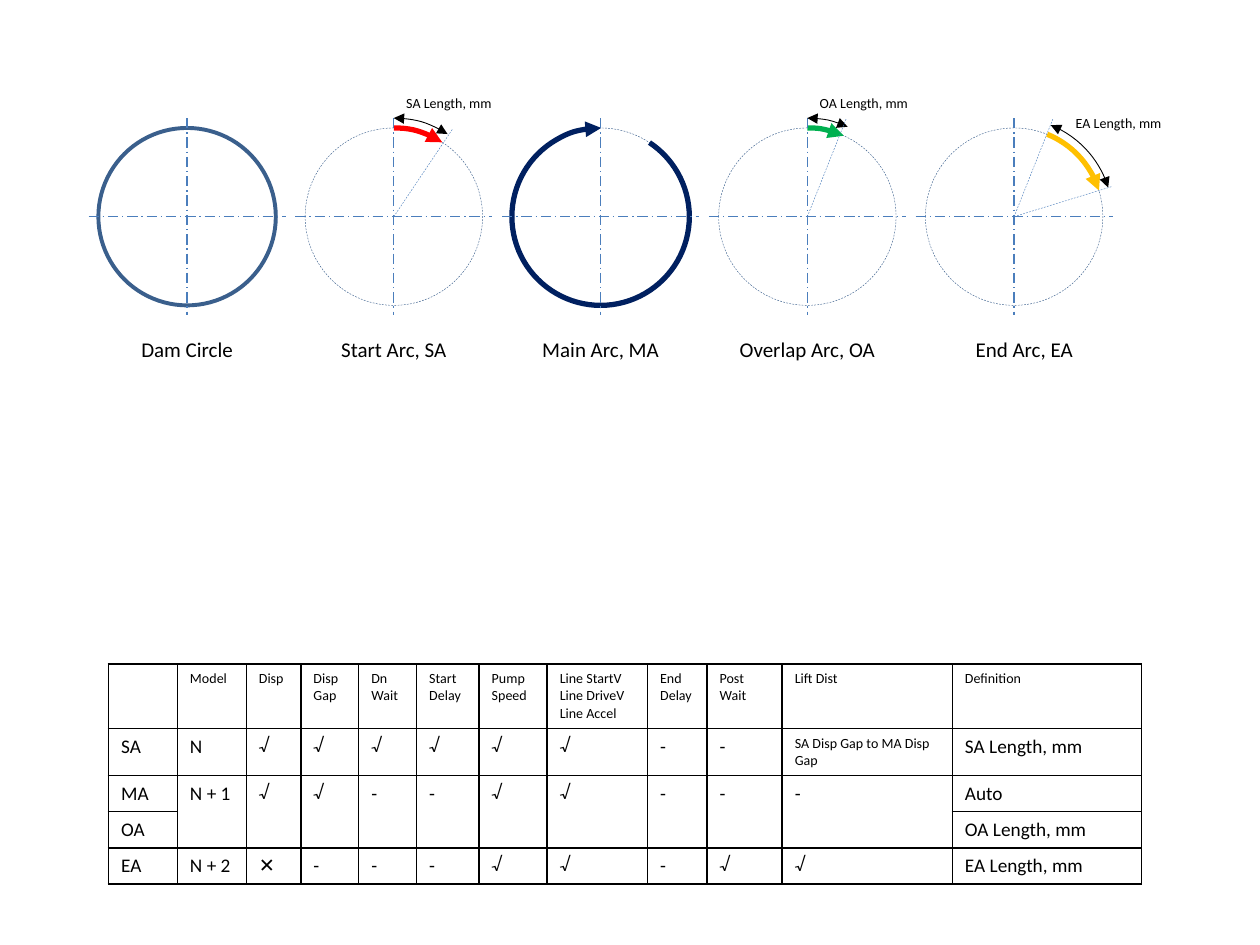
from pptx import Presentation, util as u
from pptx.dml.color import RGBColor
from pptx.enum import dml, shapes, text
from pptx.oxml.xmlchemy import OxmlElement

Pt = u.Pt
COLORS = {"outline": "3A5F8C", "axis": "4B7EBC", "black": "000000", "start": "FF0000",
          "main": "002060", "overlap": "00B050", "end": "FFC000"}
DASH = dml.MSO_LINE.DASH
AXIS_DASH = dml.MSO_LINE.LONG_DASH_DOT

# Arc angles in degrees clockwise from the right; spokes are offsets from the centre;
# a length label holds its text and its offset from the centre
PANELS = [
    {"name": "Dam Circle"},
    {"name": "Start Arc, SA", "arc": (270, 303.11), "color": "start",
     "spokes": [(33.8, -50.4)], "length": ("SA Length, mm", 0, -73.4)},
    {"name": "Main Arc, MA", "arc": (303.45, 270.35), "color": "main"},
    {"name": "Overlap Arc, OA", "arc": (270, 294.2), "color": "overlap",
     "spokes": [(22.3, -56.2)], "length": ("OA Length, mm", 0, -73.4)},
    {"name": "End Arc, EA", "arc": (291.88, 342.87), "color": "end", "label_shift": 5.8,
     "spokes": [(56.2, -17.3), (22.3, -56.2)], "length": ("EA Length, mm", 28.1, -61.9)},
]
FIRST_X, PITCH, CENTER_Y = 106.9, 118.15, 123.8
RADIUS, REACH = 50.7, 56.3

ROWS = [
    ["", "Model", "Disp", "Disp Gap", "Dn Wait", "Start Delay", "Pump Speed",
     "Line StartV\nLine DriveV\nLine Accel", "End Delay", "Post\nWait", "Lift Dist", "Definition"],
    ["SA", "N", "√", "√", "√", "√", "√", "√", "-", "-",
     "SA Disp Gap to MA Disp Gap", "SA Length, mm"],
    ["MA", "N + 1", "√", "√", "-", "-", "√", "√", "-", "-", "-", "Auto"],
    ["OA"] + [""] * 10 + ["OA Length, mm"],
    ["EA", "N + 2", "✕", "-", "-", "-", "√", "√", "-", "√", "√", "EA Length, mm"],
]
COLUMN_WIDTHS = [39.4, 39.4, 31.2, 33.1, 33.1, 35.7, 38.9, 57.4, 34, 43, 97.2, 108.2]
ROW_HEIGHTS = [36.8, 26.9, 20.7, 20.7, 20.7]
SMALL_NOTE = (1, 10)


def color(name):
    return RGBColor.from_string(COLORS[name])


def apply(target, values):
    for name, value in values.items():
        setattr(target, name, value)


def style_line(shape, name, width, dash=None, ends=()):
    shape.line.color.rgb = color(name)
    shape.line.width = Pt(width)
    if dash is not None:
        shape.line.dash_style = dash
    for end in ends:
        arrow = OxmlElement(f"a:{end}End")
        arrow.set("type", "triangle")
        shape.line._get_or_add_ln().append(arrow)


def add_round(kind, x, radius, angles=()):
    shape = page.shapes.add_shape(kind, Pt(x - radius), Pt(CENTER_Y - radius),
                                  Pt(2 * radius), Pt(2 * radius))
    shape.shadow.inherit = False
    shape.fill.background()
    for index, angle in enumerate(angles):
        shape.adjustments[index] = angle * 0.6  # 60000 units a degree, scaled by 100000
    return shape


def add_line(parent, x, start, end, width, dash):
    points = [Pt(v) for dx, dy in (start, end) for v in (x + dx, CENTER_Y + dy)]
    line = parent.shapes.add_connector(shapes.MSO_CONNECTOR.STRAIGHT, *points)
    style_line(line, "axis", width, dash)
    line._element.spPr.append(OxmlElement("a:effectLst"))


def add_span(para, words, size, font="Calibri"):
    span = para.add_run()
    span.text = words
    apply(span.font, {"size": Pt(size), "name": font})
    span.font.color.rgb = color("black")


def add_text(words, left, top, width, height, size, **frame_values):
    box = page.shapes.add_textbox(Pt(left), Pt(top), Pt(width), Pt(height))
    apply(box.text_frame, {"word_wrap": True, **frame_values})
    para = box.text_frame.paragraphs[0]
    add_span(para, words, size)
    return para


def add_borders(cell, sides):
    properties = cell._tc.get_or_add_tcPr()
    for index, side in enumerate(sides):
        line = OxmlElement(f"a:ln{side}")
        line.set("w", str(Pt(1)))
        fill = OxmlElement("a:solidFill")
        shade = OxmlElement("a:srgbClr")
        shade.set("val", COLORS["black"])
        fill.append(shade)
        line.append(fill)
        properties.insert(index, line)


deck = Presentation()
apply(deck, {"slide_width": Pt(720), "slide_height": Pt(540)})
page = deck.slides.add_slide(deck.slide_layouts[6])

# Circle diagrams
for number, panel in enumerate(PANELS):
    x = FIRST_X + number * PITCH
    arc = panel.get("arc")
    circle = add_round(shapes.MSO_SHAPE.OVAL, x, RADIUS)
    if arc:
        style_line(circle, "outline", 0.25, DASH)
        bead = add_round(shapes.MSO_SHAPE.ARC, x, RADIUS, arc)
        style_line(bead, panel["color"], 3, ends=["tail"])
    else:
        style_line(circle, "outline", 2.25)

    # Centre lines
    cross = page.shapes.add_group_shape()
    add_line(cross, x, (0, -REACH), (0, REACH), 0.75, AXIS_DASH)
    add_line(cross, x, (-REACH, 0), (REACH, 0), 0.75, AXIS_DASH)

    label = add_text(panel["name"], x - RADIUS + panel.get("label_shift", 0), 191.2,
                     2 * RADIUS, 16.6, 12, vertical_anchor=text.MSO_ANCHOR.MIDDLE)
    label.alignment = text.PP_ALIGN.CENTER

    # Length dimension
    if "length" in panel:
        dimension = add_round(shapes.MSO_SHAPE.ARC, x, REACH, arc)
        style_line(dimension, "black", 0.5, ends=["head", "tail"])
        for spoke in panel["spokes"]:
            add_line(page, x, (0, 0), spoke, 0.25, DASH)
        words, dx, dy = panel["length"]
        add_text(words, x + dx, CENTER_Y + dy, 67.7, 17, 8)

# Parameter table
frame = page.shapes.add_table(len(ROWS), len(COLUMN_WIDTHS), Pt(62), Pt(379.4),
                              Pt(sum(COLUMN_WIDTHS)), Pt(sum(ROW_HEIGHTS)))
table = frame.table
apply(table, {"first_row": False, "horz_banding": False})
for column, width in zip(table.columns, COLUMN_WIDTHS):
    column.width = Pt(width)
for row, height in zip(table.rows, ROW_HEIGHTS):
    row.height = Pt(height)
for c in range(1, len(COLUMN_WIDTHS) - 1):
    table.cell(2, c).merge(table.cell(3, c))

for r, row in enumerate(ROWS):
    for c, words in enumerate(row):
        cell = table.cell(r, c)
        cell.fill.background()
        size = 8 if r == 0 or (r, c) == SMALL_NOTE else 11
        for index, part in enumerate(words.split("\n")):
            para = cell.text_frame.paragraphs[0] if index == 0 else cell.text_frame.add_paragraph()
            if part:
                add_span(para, part, size, "Karla" if part == "√" else "Calibri")
            else:
                ending = OxmlElement("a:endParaRPr")
                ending.set("sz", str(size * 100))
                para._p.append(ending)
        add_borders(cell, "LRB" if cell.is_spanned else "LRT" if cell.is_merge_origin else "LRTB")

deck.save("out.pptx")
